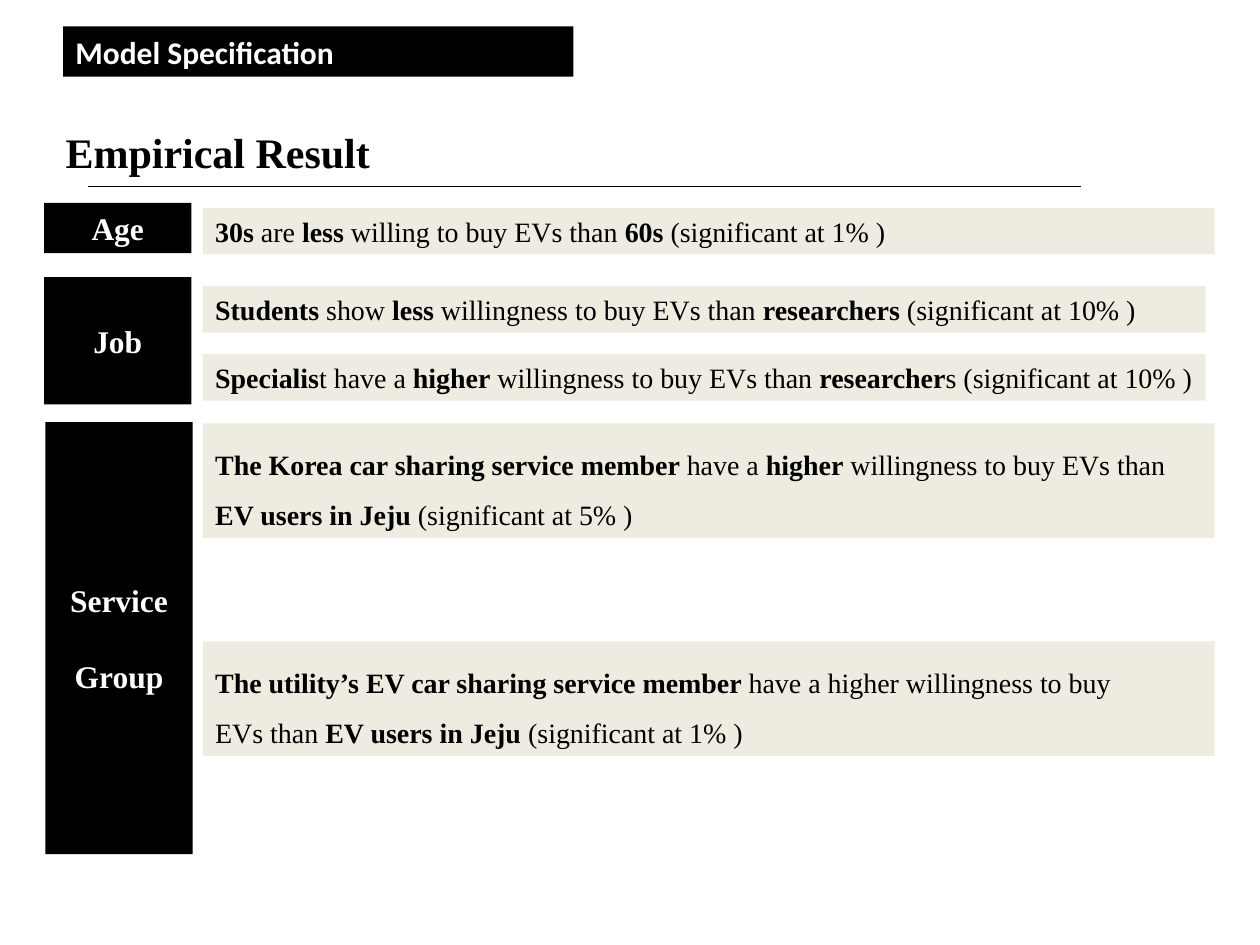
from pptx import Presentation
from pptx.dml.color import RGBColor
from pptx.enum.shapes import MSO_CONNECTOR, MSO_SHAPE
from pptx.enum.text import MSO_ANCHOR, PP_ALIGN
from pptx.oxml.ns import qn
from pptx.util import Inches, Pt
from lxml import etree

RECTANGLE = MSO_SHAPE.RECTANGLE
STRAIGHT = MSO_CONNECTOR.STRAIGHT
MIDDLE = MSO_ANCHOR.MIDDLE
LEFT, CENTER = PP_ALIGN.LEFT, PP_ALIGN.CENTER

COLORS = {"black": "000000", "white": "FFFFFF", "beige": "EEECE1"}
SERIF, SANS = "Times New Roman", "Calibri"

LABEL_LEFT, LABEL_WIDTH = 0.35, 1.17
FINDING_LEFT, WIDE, NARROW = 1.61, 8.03, 7.96
ONE_LINE, TWO_LINES = 0.37, 0.91

# Label: left, top, height, lines
LABELS = [
    (LABEL_LEFT, 1.61, 0.4, ["Age"]),
    (LABEL_LEFT, 2.2, 1.01, ["Job"]),
    (LABEL_LEFT + 0.01, 3.35, 3.43, ["Service", "Group"]),
]

# Finding: top, width, height, lines; asterisks enclose bold words
FINDINGS = [
    (1.65, WIDE, ONE_LINE,
     ["*30s* are *less *willing to buy EVs than *60s* (significant at 1% )"]),
    (2.27, NARROW, ONE_LINE,
     ["*Students* show *less* willingness to buy EVs than *researchers* (significant at 10% )"]),
    (2.81, NARROW, ONE_LINE,
     ["*Specialis*t have a *higher* willingness to buy EVs than *researcher*s (significant at 10% )"]),
    (3.36, WIDE, TWO_LINES,
     ["*The Korea car sharing service member *have a *higher* willingness to buy EVs than",
      "*EV users in Jeju *(significant at 5% )"]),
    (5.09, WIDE, TWO_LINES,
     ["*The utility’s EV car sharing service member *have a higher willingness to buy",
      "EVs than *EV users in Jeju *(significant at 1% )"]),
]


def rgb(name):
    return RGBColor.from_string(COLORS[name])


def place(shape, left, top, width, height):
    shape.left, shape.top = Inches(left), Inches(top)
    shape.width, shape.height = Inches(width), Inches(height)


def write_line(paragraph, text, size, color, font=SERIF):
    """Add one run per stretch of plain or bold text."""
    for index, part in enumerate(text.split("*")):
        if part:
            run = paragraph.add_run()
            run.text = part
            run.font.name = font
            run.font.size = Pt(size)
            run.font.bold = index % 2 == 1
            run.font.color.rgb = rgb(color)


def add_box(slide, left, top, width, height, fill, lines, size, color,
            font=SERIF, align=LEFT, line_spacing=1.0, gap=0):
    box = slide.shapes.add_shape(
        RECTANGLE, Inches(left), Inches(top), Inches(width), Inches(height))
    box.shadow.inherit = False
    box.fill.solid()
    box.fill.fore_color.rgb = rgb(fill)
    box.line.fill.background()
    frame = box.text_frame
    frame.word_wrap = True
    frame.vertical_anchor = MIDDLE
    for index, line in enumerate(lines):
        paragraph = frame.add_paragraph() if index else frame.paragraphs[0]
        paragraph.alignment = align
        paragraph.line_spacing = line_spacing
        paragraph.space_before = Pt(gap if index else 0)
        write_line(paragraph, line, size, color, font)


def add_title(slide, text):
    title = slide.shapes.title
    place(title, 0.42, 0.95, 8.16, 0.5)
    title.text_frame.vertical_anchor = MIDDLE
    paragraph = title.text_frame.paragraphs[0]
    paragraph.alignment = LEFT
    write_line(paragraph, f"*{text}*", 24, "black")


def add_rule(slide, left, right, y):
    rule = slide.shapes.add_connector(
        STRAIGHT, Inches(left), Inches(y), Inches(right), Inches(y))
    rule.line.color.rgb = rgb("black")
    rule.line.width = Pt(1)
    etree.SubElement(rule._element.spPr, qn("a:effectLst"))


def add_label(slide, left, top, height, lines):
    bold_lines = [f"*{line}*" for line in lines]
    add_box(slide, left, top, LABEL_WIDTH, height, "black", bold_lines, 18,
            "white", align=CENTER, gap=22)


def add_finding(slide, top, width, height, lines):
    add_box(slide, FINDING_LEFT, top, width, height, "beige", lines, 16, "black",
            line_spacing=1.5 if len(lines) > 1 else 1.0)


def main():
    presentation = Presentation()
    presentation.slide_width, presentation.slide_height = Inches(10), Inches(7.5)
    slide = presentation.slides.add_slide(presentation.slide_layouts[5])
    add_title(slide, "Empirical Result")
    add_box(slide, 0.5, 0.21, 4.05, 0.4, "black", ["*Model Specification*"], 18,
            "white", font=SANS)
    add_rule(slide, 0.7, 8.58, 1.48)
    for finding in FINDINGS:
        add_finding(slide, *finding)
    for label in LABELS:
        add_label(slide, *label)
    presentation.save("out.pptx")


if __name__ == "__main__":
    main()
